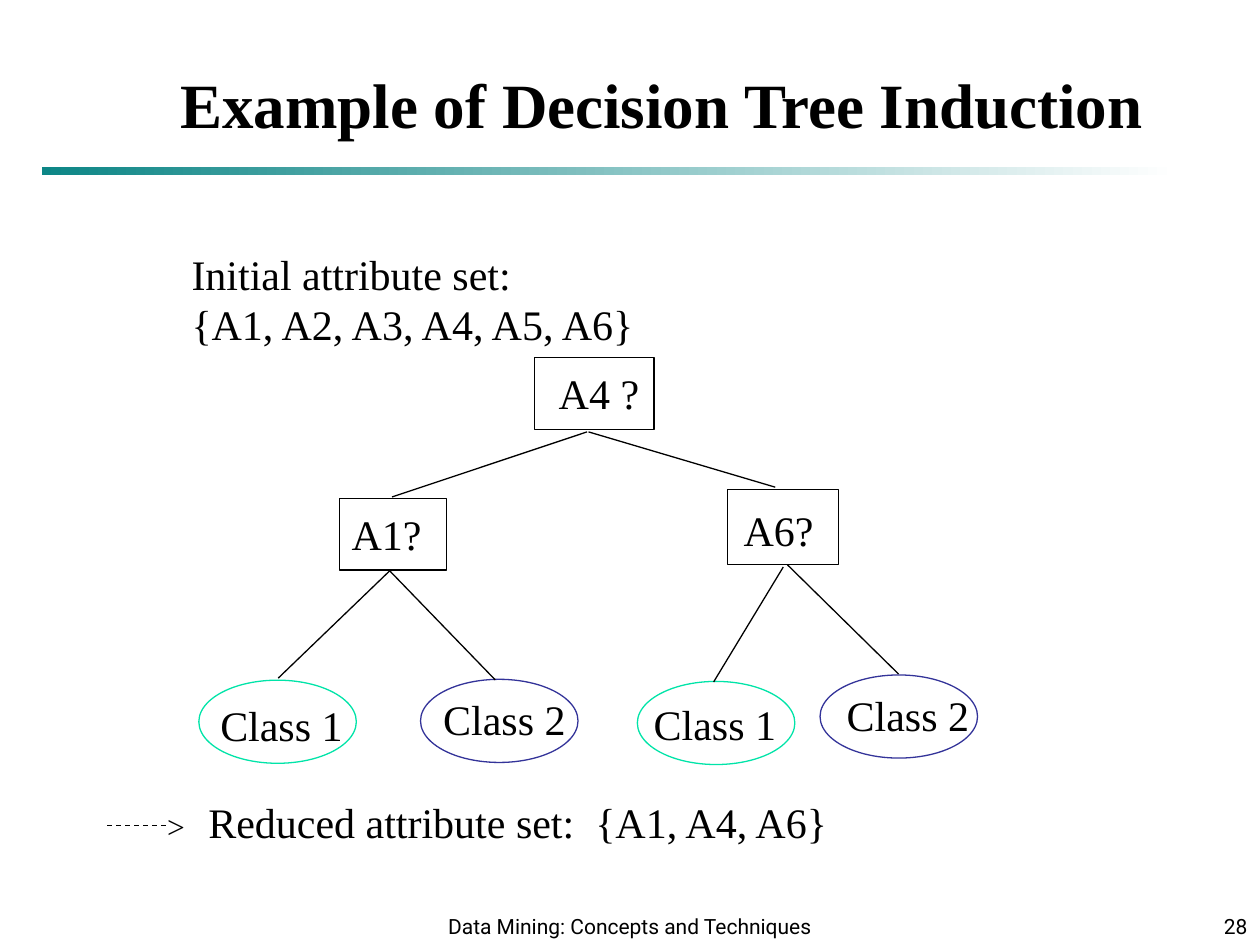
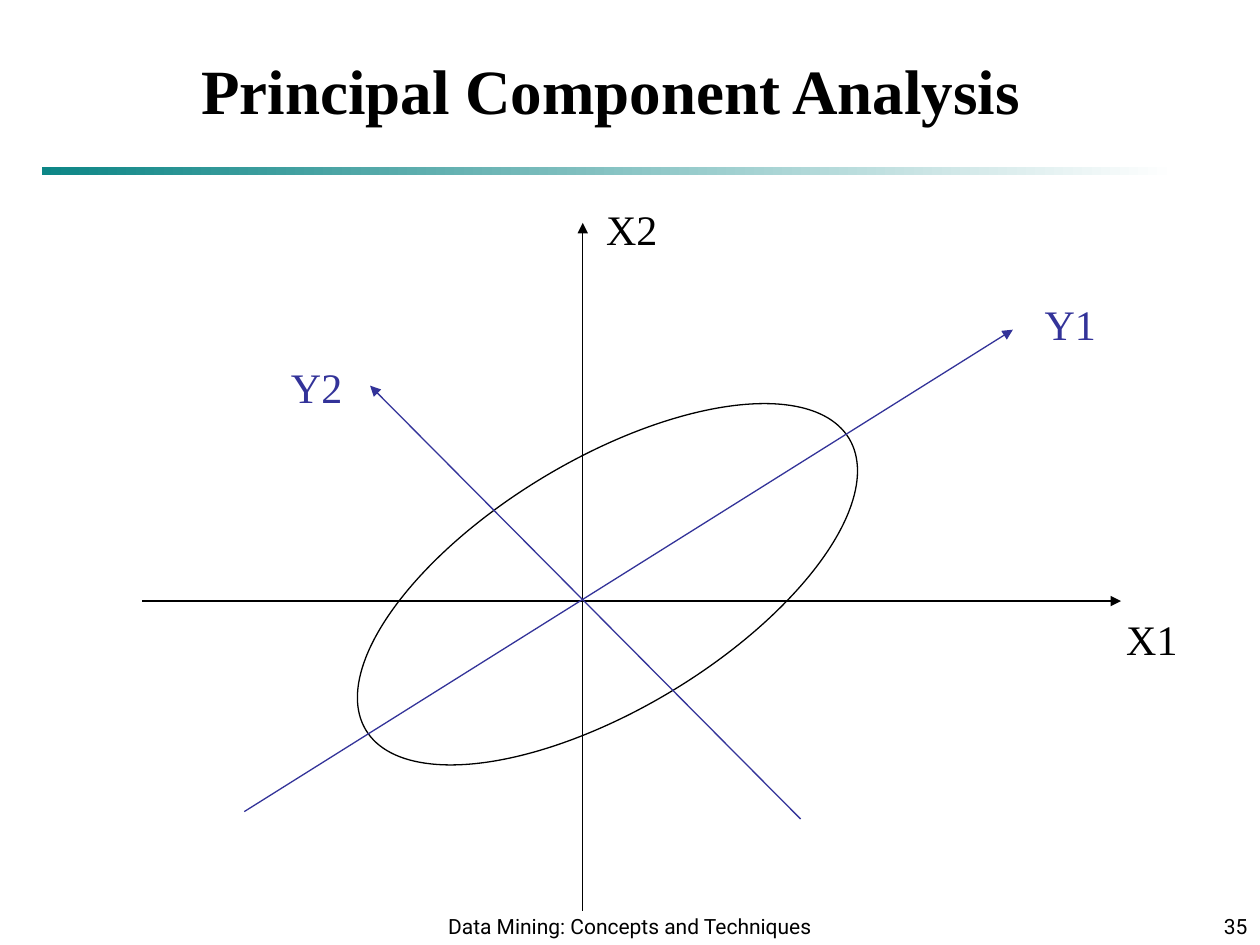
"""Build two data mining slides: a decision tree and principal component axes."""
from dataclasses import dataclass
from typing import Any

from lxml import etree
from pptx import Presentation
from pptx import util as u
from pptx.dml.color import RGBColor
from pptx.enum import dml, shapes, text
from pptx.oxml import ns

BLACK, WHITE, TEAL, GREEN, INDIGO = "000000", "FFFFFF", "0D8686", "00E4A8", "333399"
SERIF, SANS = "Times New Roman", "Roboto"
RECTANGLE, OVAL = shapes.MSO_SHAPE.RECTANGLE, shapes.MSO_SHAPE.OVAL
LEFT, CENTER, RIGHT = text.PP_ALIGN.LEFT, text.PP_ALIGN.CENTER, text.PP_ALIGN.RIGHT
TOP, BOTTOM = text.MSO_ANCHOR.TOP, text.MSO_ANCHOR.BOTTOM
FOOTER = "Data Mining: Concepts and Techniques"
LABEL_HEIGHT = 36


@dataclass(frozen=True)
class Label:
    """Text with its place and format, in points."""
    words: str
    left: float
    top: float
    width: float
    height: float = LABEL_HEIGHT
    size: float = 24
    font: str = SERIF
    color: str = BLACK
    bold: bool = False
    align: Any = LEFT
    anchor: Any = TOP


@dataclass(frozen=True)
class Outline:
    """Unfilled preset shape with a thin line."""
    kind: Any
    left: float
    top: float
    width: float
    height: float
    color: str = BLACK
    rotation: float = 0


@dataclass(frozen=True)
class Segment:
    """Straight line between two points."""
    start: tuple[float, float]
    end: tuple[float, float]
    color: str = BLACK
    arrow: bool = False
    dashed: bool = False


@dataclass(frozen=True)
class Node:
    """Outline of a tree node with its label."""
    outline: Outline
    label: Label


def rgb(value: str) -> RGBColor:
    """Turn a hex string into a colour."""
    return RGBColor.from_string(value)


def assign(target: Any, values: dict[str, Any]) -> None:
    """Set every named attribute on the target."""
    for name, value in values.items():
        setattr(target, name, value)


def draw_label(canvas: Any, label: Label) -> None:
    """Write a label on a slide or group."""
    box = canvas.add_textbox(u.Pt(label.left), u.Pt(label.top), u.Pt(label.width), u.Pt(label.height))
    assign(box.text_frame, {"word_wrap": True, "vertical_anchor": label.anchor})
    for number, line in enumerate(label.words.split("\n")):
        para = box.text_frame.add_paragraph() if number else box.text_frame.paragraphs[0]
        para.alignment = label.align
        span = para.add_run()
        span.text = line
        assign(span.font, {"name": label.font, "size": u.Pt(label.size), "bold": label.bold})
        span.font.color.rgb = rgb(label.color)


def draw_outline(canvas: Any, outline: Outline) -> None:
    """Draw an unfilled shape."""
    shape = canvas.add_shape(outline.kind, u.Pt(outline.left), u.Pt(outline.top),
                             u.Pt(outline.width), u.Pt(outline.height))
    shape.fill.background()
    shape.shadow.inherit = False
    shape.rotation = outline.rotation
    shape.line.color.rgb = rgb(outline.color)
    shape.line.width = u.Pt(0.75)


def draw_segment(canvas: Any, segment: Segment) -> None:
    """Draw a line, dashed or with an arrowhead if asked."""
    ends = [u.Pt(value) for value in (*segment.start, *segment.end)]
    connector = canvas.add_connector(shapes.MSO_CONNECTOR.STRAIGHT, *ends)
    connector.line.color.rgb = rgb(segment.color)
    connector.line.width = u.Pt(0.75)
    if segment.dashed:
        connector.line.dash_style = dml.MSO_LINE.DASH
    properties = connector._element.spPr
    if segment.arrow:
        line = properties.find(ns.qn("a:ln"))
        etree.SubElement(line, ns.qn("a:tailEnd"), type="triangle")
    etree.SubElement(properties, ns.qn("a:effectLst"))


def draw_node(canvas: Any, node: Node) -> None:
    """Draw a tree node and its label."""
    draw_outline(canvas, node.outline)
    draw_label(canvas, node.label)


def draw_band(canvas: Any) -> None:
    """Draw the fading band below the title."""
    band = canvas.add_shape(RECTANGLE, u.Pt(24), u.Pt(95.5), u.Pt(648), u.Pt(4.5))
    band.shadow.inherit = False
    band.line.fill.background()
    band.fill.gradient()
    band.fill.gradient_angle = 180
    for stop, position, color in zip(band.fill.gradient_stops, (0, 1), (WHITE, TEAL)):
        stop.color.rgb = rgb(color)
        stop.position = position


def add_page(deck: Any, title: str, left: float, top: float, width: float, number: int) -> Any:
    """Add a slide with title, band and footer and return its shapes."""
    page = deck.slides.add_slide(deck.slide_layouts[6])
    draw_band(page.shapes)
    draw_label(page.shapes, Label(title, left, top, width, 50, size=36, bold=True))
    footer = {"top": 510, "height": 30, "size": 12, "font": SANS, "anchor": BOTTOM}
    draw_label(page.shapes, Label(FOOTER, left=246, width=228, align=CENTER, **footer))
    draw_label(page.shapes, Label(str(number), left=570, width=150, align=RIGHT, **footer))
    return page.shapes


def leaf(name: str, left: float, top: float, color: str, label_left: float, label_top: float) -> Node:
    """Describe an oval class node."""
    return Node(Outline(OVAL, left, top, 90, 47.5, color), Label(name, label_left, label_top, 92))


TREE_NODES = [
    Node(Outline(RECTANGLE, 305.3, 204.5, 68.5, 41), Label("A4 ?", 312.2, 206.2, 72)),
    Node(Outline(RECTANGLE, 193.8, 284.7, 61.2, 41), Label("A1?", 193.8, 286.8, 62)),
    Node(Outline(RECTANGLE, 415.8, 279.7, 63.5, 43), Label("A6?", 417.8, 284.6, 62)),
    leaf("Class 1", 113.6, 388.7, GREEN, 118.8, 396),
    leaf("Class 2", 240.3, 388.2, INDIGO, 246.2, 392.6),
    leaf("Class 1", 364.2, 389.4, GREEN, 366.5, 395.5),
    leaf("Class 2", 468.6, 385.7, INDIGO, 476.8, 390.4),
]
TREE_EDGES = [
    Segment((335.5, 246.8), (224, 284)),
    Segment((336.3, 246.8), (443, 278.4)),
    Segment((222.7, 326.2), (159, 387.5)),
    Segment((222.7, 326.2), (283, 388.5)),
    Segment((447.6, 324), (407.8, 389.7)),
    Segment((450, 322.8), (513.5, 385.2)),
]
AXES = [
    Segment((81.2, 343.5), (640.6, 343.5), arrow=True),
    Segment((333, 520.5), (333, 127.4), arrow=True),
    Segment((139.6, 463.8), (578.8, 188.4), INDIGO, arrow=True),
    Segment((457.5, 468), (211.5, 220.4), INDIGO, arrow=True),
]
AXIS_LABELS = [
    Label("X1", 636.5, 347, 50),
    Label("X2", 339.3, 113, 50),
    Label("Y1", 589.8, 167, 50, color=INDIGO),
    Label("Y2", 159.2, 203, 50, color=INDIGO),
]


def build_tree_page(deck: Any) -> None:
    """Build the decision tree slide."""
    canvas = add_page(deck, "Example of Decision Tree Induction", 96, 34, 606, 28)
    draw_label(canvas, Label("Initial attribute set:\n{A1, A2, A3, A4, A5, A6}", 102.4, 138.2, 280, 65))
    for node in TREE_NODES:
        draw_node(canvas, node)
    for edge in TREE_EDGES:
        draw_segment(canvas, edge)
    arrow = canvas.add_group_shape().shapes
    draw_segment(arrow, Segment((61.2, 471.7), (96, 471.7), dashed=True))
    draw_label(arrow, Label(">", 88.5, 457.5, 30, 29, size=18))
    draw_label(canvas, Label("Reduced attribute set:  {A1, A4, A6}", 112, 451.7, 380))


def build_component_page(deck: Any) -> None:
    """Build the principal component slide."""
    canvas = add_page(deck, "Principal Component Analysis", 108, 26, 528, 35)
    draw_outline(canvas, Outline(OVAL, 185.9, 262.6, 322.5, 142.5, rotation=328.9))
    for axis in AXES:
        draw_segment(canvas, axis)
    for label in AXIS_LABELS:
        draw_label(canvas, label)


def main() -> None:
    """Build and save the deck."""
    deck = Presentation()
    assign(deck, {"slide_width": u.Pt(720), "slide_height": u.Pt(540)})
    build_tree_page(deck)
    build_component_page(deck)
    deck.save("out.pptx")


if __name__ == "__main__":
    main()
